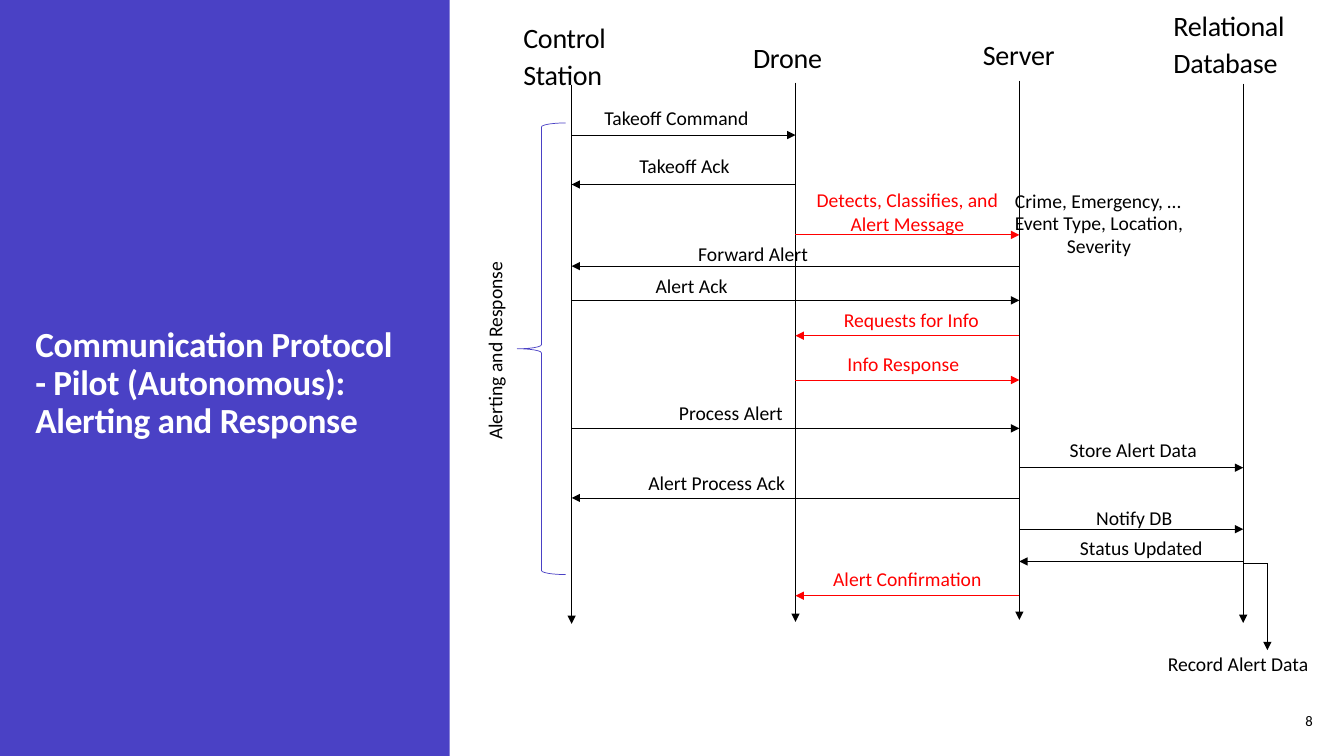
from lxml import etree
from pptx import Presentation
from pptx.dml.color import RGBColor
from pptx.enum.shapes import MSO_CONNECTOR as CONN, MSO_SHAPE as SHAPE
from pptx.enum.text import MSO_ANCHOR as ANCHOR, MSO_AUTO_SIZE as FIT, PP_ALIGN as ALIGN
from pptx.oxml.ns import qn
from pptx.util import Inches, Pt

W, H = 13.33, 7.5
COLORS = {"black": "000000", "red": "FF0000", "purple": "4A41C5", "white": "FFFFFF"}
FONT = "Calibri"

TITLE = "Communication Protocol\v- Pilot (Autonomous): Alerting and Response"
PAGE = "8"

# Lanes of the sequence diagram, left to right
STATION, DRONE, SERVER, DATABASE = range(4)
LANE_LEFT, LANE_STEP, LANE_LENGTH = 5.67, 2.22, 5.35
LANES = [  # name, name box (left, top, width, height), top of the lifeline
    ("Control Station", (5.09, 0.12, 1.3, 0.82), 0.84),
    ("Drone", (7.37, 0.32, 1.01, 0.45), 0.82),
    ("Server", (9.65, 0.29, 1.01, 0.45), 0.8),
    ("Relational Database", (11.54, 0, 1.54, 0.82), 0.83),
]
MESSAGES = [  # text, from lane, to lane, arrow y, label centre x, label top, colour
    ("Takeoff Command", STATION, DRONE, 1.34, 6.71, 1.0, "black"),
    ("Takeoff Ack", DRONE, STATION, 1.83, 6.79, 1.48, "black"),
    ("Detects, Classifies, and Alert Message", DRONE, SERVER, 2.33, 9.0, 1.82, "red"),
    ("Forward Alert", SERVER, STATION, 2.64, 7.47, 2.35, "black"),
    ("Alert Ack", STATION, SERVER, 2.98, 6.86, 2.67, "black"),
    ("Requests for Info", SERVER, DRONE, 3.33, 9.04, 3.01, "red"),
    ("Info Response", DRONE, SERVER, 3.77, 8.96, 3.44, "red"),
    ("Process Alert", STATION, SERVER, 4.25, 7.25, 3.93, "black"),
    ("Store Alert Data", SERVER, DATABASE, 4.64, 11.24, 4.3, "black"),
    ("Alert Process Ack", SERVER, STATION, 4.94, 7.11, 4.62, "black"),
    ("Notify DB", SERVER, DATABASE, 5.25, 11.25, 4.97, "black"),
    ("Status Updated", DATABASE, SERVER, 5.57, 11.32, 5.27, "black"),
    ("Alert Confirmation", SERVER, DRONE, 5.91, 9.0, 5.58, "red"),
]
NOTES = [  # text, centre x, top
    ("Crime, Emergency, …", 10.89, 1.83),
    ("Event Type, Location, Severity", 10.9, 2.04),
    ("Record Alert Data", 12.28, 6.42),
]
PHASE = "Alerting and Response"
LABEL_W, LABEL_H = 2.2, 0.34
RECORD_X, RECORD_TOP, RECORD_END = 12.57, 5.59, 6.45


def rgb(name):
    return RGBColor.from_string(COLORS[name])


def place(shape, left, top, width, height):
    shape.left, shape.top = Inches(left), Inches(top)
    shape.width, shape.height = Inches(width), Inches(height)


def write(shape, text, size, color="black", align=ALIGN.CENTER, anchor=ANCHOR.TOP,
          bold=False, spacing=None, tracking=0):
    tf = shape.text_frame
    tf.text = text
    tf.word_wrap, tf.auto_size, tf.vertical_anchor = True, FIT.NONE, anchor
    p = tf.paragraphs[0]
    p.alignment, p.line_spacing, p.space_before = align, spacing, Pt(0)
    font = p.font
    font.name, font.size, font.bold = FONT, Pt(size), bold
    font.color.rgb = rgb(color)
    if tracking:
        for r in p.runs:
            r.font._element.set("spc", str(tracking))
    return p


def text_box(s, left, top, width, height):
    return s.shapes.add_textbox(*map(Inches, (left, top, width, height)))


def label(s, text, center, top, color="black"):
    box = text_box(s, center - LABEL_W / 2, top, LABEL_W, LABEL_H)
    write(box, text, 14, color)
    return box


def line(s, x1, y1, x2, y2, color="black", arrow=True):
    c = s.shapes.add_connector(CONN.STRAIGHT, *map(Inches, (x1, y1, x2, y2)))
    c.line.color.rgb, c.line.width = rgb(color), Pt(0.5)
    if arrow:
        etree.SubElement(c.line._get_or_add_ln(), qn("a:tailEnd"), type="triangle")
    etree.SubElement(c._element.spPr, qn("a:effectLst"))


def lane_x(lane):
    return LANE_LEFT + LANE_STEP * lane


def add_panel(s):
    panel = s.shapes.add_shape(SHAPE.RECTANGLE, 0, 0, Inches(4.46), Inches(H))
    panel.shadow.inherit = False
    panel.fill.solid()
    panel.fill.fore_color.rgb = rgb("purple")
    panel.line.fill.background()
    s.shapes._spTree.insert(2, panel._element)  # behind the title

    title = s.shapes.title
    place(title, 0.25, 2.23, 3.96, 2.2)
    write(title, TITLE, 25.2, "white", ALIGN.LEFT, ANCHOR.BOTTOM,
          bold=True, spacing=0.9, tracking=-20)


def add_lanes(s):
    for lane, (name, box, top) in enumerate(LANES):
        if lane == STATION:
            shape = s.placeholders[1]
            place(shape, *box)
        else:
            shape = text_box(s, *box)
        p = write(shape, name, 20, align=ALIGN.LEFT, spacing=1.1, tracking=-20)
        if lane == STATION:
            pPr = p._p.get_or_add_pPr()
            pPr.set("marL", "0")
            pPr.set("indent", "0")
            pPr.find(qn("a:defRPr")).addprevious(etree.Element(qn("a:buNone")))
        line(s, lane_x(lane), top, lane_x(lane), top + LANE_LENGTH)


def add_messages(s):
    for text, start, end, y, center, top, color in MESSAGES:
        line(s, lane_x(start), y, lane_x(end), y, color)
        label(s, text, center, top, color)
    for note in NOTES:
        label(s, *note)
    line(s, lane_x(DATABASE), RECORD_TOP, RECORD_X, RECORD_TOP, arrow=False)
    line(s, RECORD_X, RECORD_TOP, RECORD_X, RECORD_END)


def add_phase(s):
    brace = s.shapes.add_shape(SHAPE.LEFT_BRACE, *map(Inches, (5.13, 1.22, 0.48, 4.48)))
    brace.shadow.inherit = False
    brace.fill.background()
    brace.line.color.rgb, brace.line.width = rgb("purple"), Pt(0.5)
    label(s, PHASE, 4.91, 3.31).rotation = 270


def main():
    prs = Presentation()
    prs.slide_width, prs.slide_height = Inches(W), Inches(H)
    s = prs.slides.add_slide(prs.slide_layouts[1])
    add_panel(s)
    add_lanes(s)
    add_messages(s)
    add_phase(s)
    write(text_box(s, 12.43, 6.95, 0.69, 0.4), PAGE, 10.5,
          align=ALIGN.RIGHT, anchor=ANCHOR.MIDDLE)
    prs.save("out.pptx")


if __name__ == "__main__":
    main()
